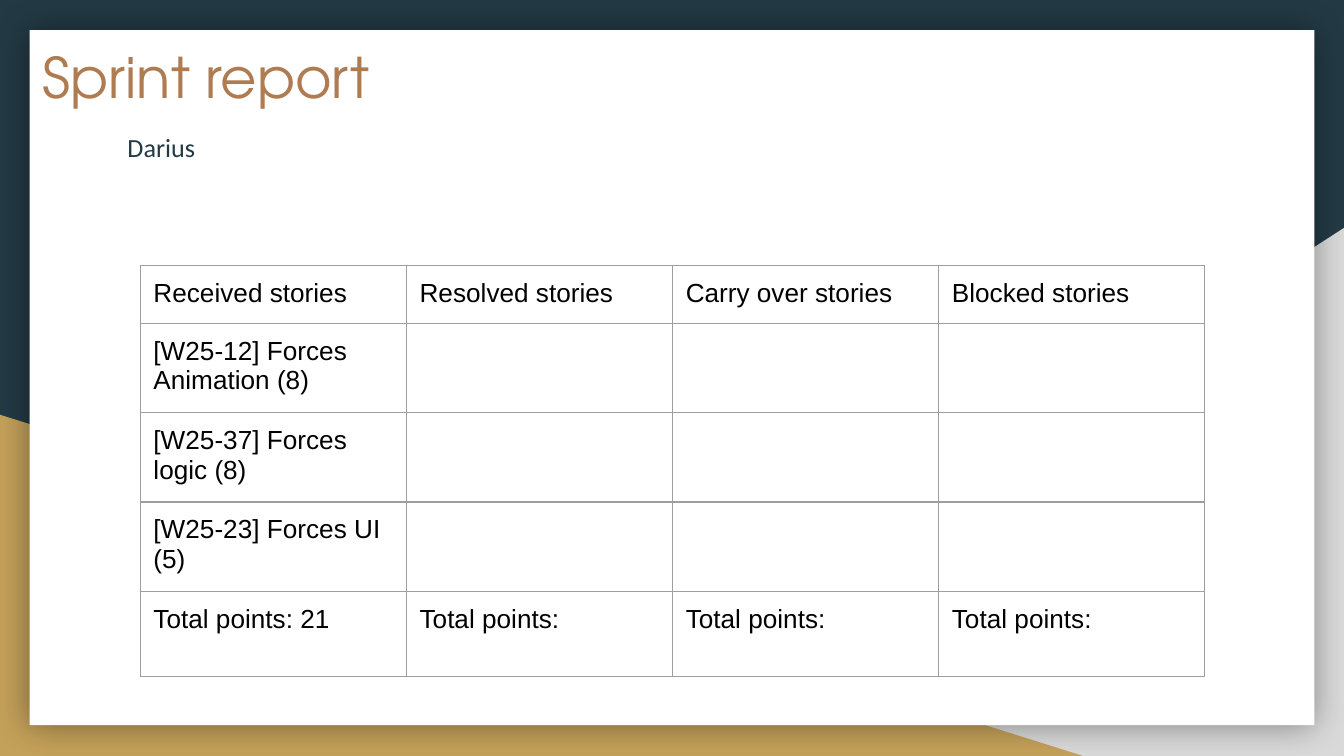
from lxml.etree import SubElement
from pptx import Presentation
from pptx.dml.color import RGBColor
from pptx.enum.shapes import MSO_SHAPE as Preset
from pptx.enum.text import MSO_ANCHOR as Anchor, PP_ALIGN as Align
from pptx.oxml import parse_xml
from pptx.oxml.ns import nsdecls, qn
from pptx.util import Cm, Pt

NAVY, GOLD, GREY, WHITE = "233A44", "C4A15A", "D9D9D9", "FFFFFF"
COPPER, BLACK, BORDER = "AF7B51", "000000", "9E9E9E"
INSET = Cm(0.25)
STORIES = [
    ["Received stories", "Resolved stories", "Carry over stories", "Blocked stories"],
    ["[W25-12] Forces Animation (8)", "", "", ""],
    ["[W25-37] Forces logic (8)", "", "", ""],
    ["[W25-23] Forces UI (5)", "", "", ""],
    ["Total points: 21", "Total points:", "Total points:", "Total points:"],
]


def color(code):
    return RGBColor.from_string(code)


def add_panel(slide, preset, box, fill):
    panel = slide.shapes.add_shape(preset, *(Cm(n) for n in box))
    panel.fill.solid()
    panel.fill.fore_color.rgb = color(fill)
    panel.line.fill.background()
    panel.shadow.inherit = False
    return panel


def add_glow(panel):
    effects = panel.element.spPr.find(qn("a:effectLst"))
    effects.append(parse_xml(
        f'<a:outerShdw {nsdecls("a")} blurRad="{Pt(18)}" dist="0" algn="ctr" rotWithShape="0">'
        f'<a:srgbClr val="{BLACK}"><a:alpha val="40000"/></a:srgbClr></a:outerShdw>'))


def write(frame, text, font, size, code):
    paragraph = frame.paragraphs[0]
    paragraph.alignment = Align.LEFT
    run = paragraph.add_run()
    run.text = text
    run.font.name = font
    run.font.size = Pt(size)
    run.font.bold = False
    run.font.color.rgb = color(code)


def fill_text_box(holder, box, text, font, size, code):
    holder.left, holder.top, holder.width, holder.height = (Cm(n) for n in box)
    frame = holder.text_frame
    frame.word_wrap = True
    frame.vertical_anchor = Anchor.TOP
    frame.margin_left = frame.margin_right = INSET
    frame.margin_top = frame.margin_bottom = INSET
    write(frame, text, font, size, code)


def add_borders(cell):
    properties = cell._tc.get_or_add_tcPr()
    for side in ("lnL", "lnR", "lnT", "lnB"):
        line = SubElement(properties, qn(f"a:{side}"), w=str(Pt(0.75)))
        SubElement(SubElement(line, qn("a:solidFill")), qn("a:srgbClr"), val=BORDER)


def add_story_table(slide):
    heights = [Cm(1.07)] + [Cm(1.61)] * (len(STORIES) - 1)
    table = slide.shapes.add_table(
        len(STORIES), len(STORIES[0]), Cm(2.65), Cm(5.02), Cm(20.12), sum(heights)).table
    table.first_row = table.horz_banding = False
    for column in table.columns:
        column.width = Cm(5.03)
    for row, height, texts in zip(table.rows, heights, STORIES):
        row.height = height
        for cell, text in zip(row.cells, texts):
            add_borders(cell)
            cell.fill.background()
            cell.margin_left = cell.margin_right = INSET
            cell.margin_top = cell.margin_bottom = INSET
            if text:
                write(cell.text_frame, text, "Arial", 14, BLACK)


def add_backdrop(slide):
    slide.background.fill.solid()
    slide.background.fill.fore_color.rgb = color(NAVY)
    corner = add_panel(slide, Preset.RIGHT_TRIANGLE, (9.96, 4.31, 15.44, 9.98), GREY)
    corner.element.spPr.get_or_add_xfrm().set("flipH", "1")
    add_panel(slide, Preset.RIGHT_TRIANGLE, (0, 7.84, 20.47, 6.45), GOLD)
    add_glow(add_panel(slide, Preset.RECTANGLE, (0.56, 0.57, 24.28, 13.14), WHITE))


def main():
    deck = Presentation()
    deck.slide_width, deck.slide_height = Cm(25.4), Cm(14.29)
    slide = deck.slides.add_slide(deck.slide_layouts[5])
    add_backdrop(slide)
    title = slide.shapes.title
    title.element.getparent().append(title.element)
    fill_text_box(title, (0.56, 0.56, 20.85, 2.64), "Sprint report",
                  "TeX Gyre Adventor", 30, COPPER)
    owner = slide.shapes.add_textbox(0, 0, 0, 0)
    fill_text_box(owner, (2.16, 2.24, 5.18, 1.24), "Darius", "Calibri", 14, NAVY)
    add_story_table(slide)
    deck.save("out.pptx")


if __name__ == "__main__":
    main()
